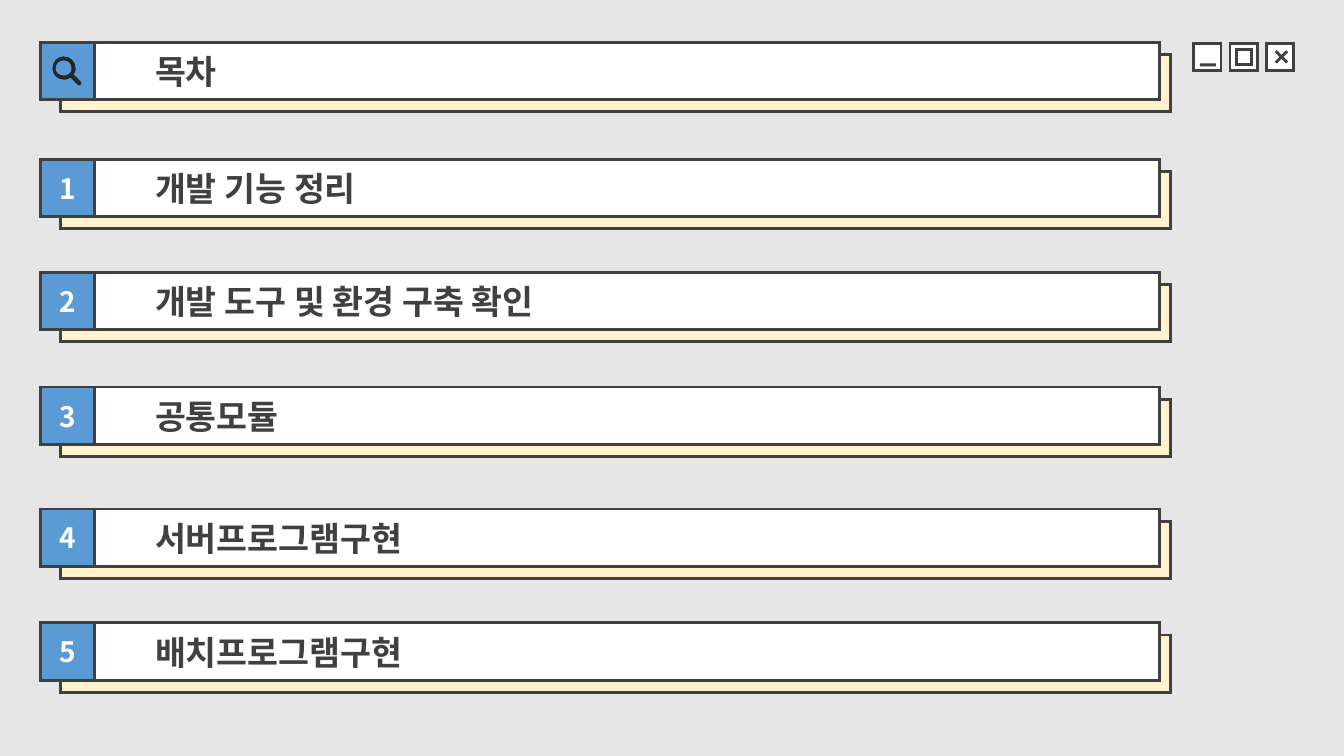
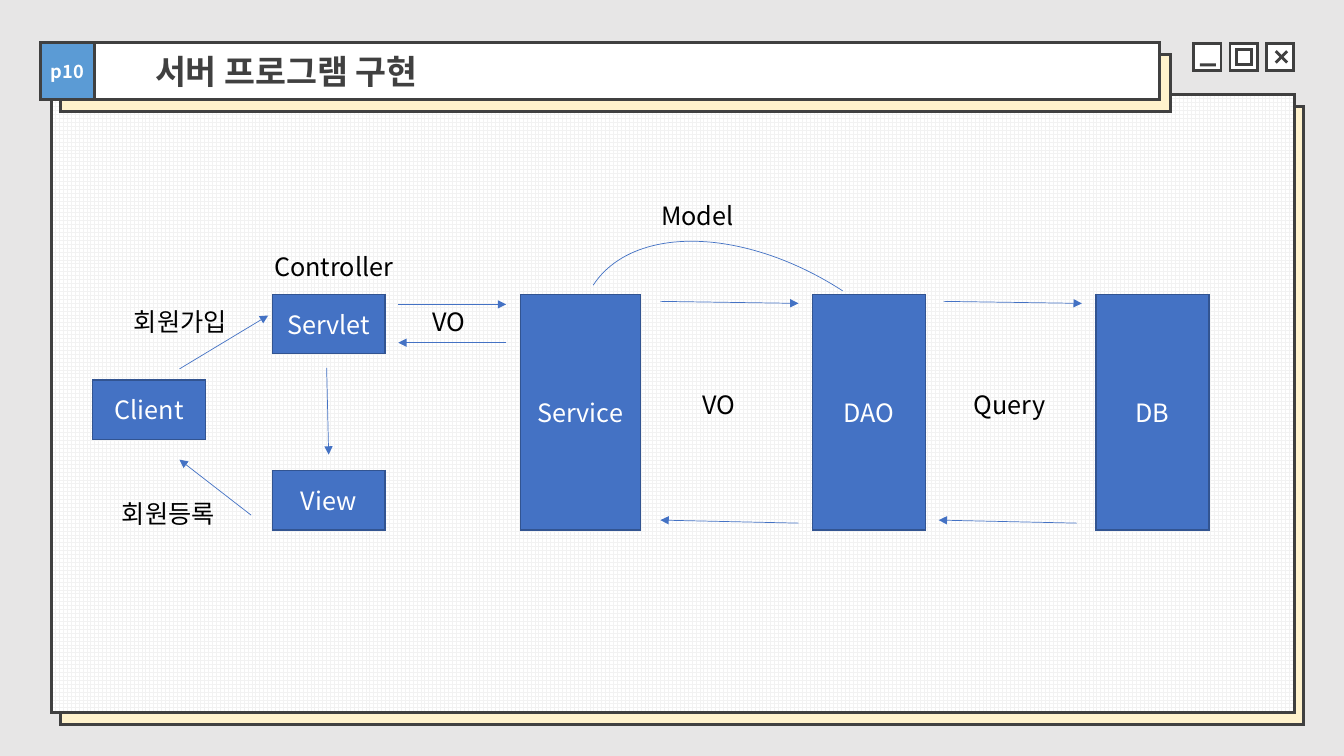
from lxml import etree
from pptx import Presentation
from pptx.dml.color import RGBColor
from pptx.enum.dml import MSO_PATTERN
from pptx.enum.shapes import MSO_CONNECTOR, MSO_SHAPE
from pptx.enum.text import MSO_ANCHOR, MSO_AUTO_SIZE, PP_ALIGN
from pptx.oxml.ns import qn
from pptx.util import Inches, Pt

RECT, ARC = MSO_SHAPE.RECTANGLE, MSO_SHAPE.ARC
STRAIGHT = MSO_CONNECTOR.STRAIGHT
GRID_PATTERN = MSO_PATTERN.LARGE_GRID
MIDDLE = MSO_ANCHOR.MIDDLE
LEFT, CENTER = PP_ALIGN.LEFT, PP_ALIGN.CENTER
FIT_SHAPE = MSO_AUTO_SIZE.SHAPE_TO_FIT_TEXT

FONT = "Noto Sans CJK KR"
BACKGROUND = RGBColor(0xE7, 0xE6, 0xE6)
INK = RGBColor(0x40, 0x40, 0x40)
ICON = RGBColor(0x26, 0x26, 0x26)
CREAM = RGBColor(0xFF, 0xF2, 0xCC)
SKY = RGBColor(0x5B, 0x9B, 0xD5)
WHITE = RGBColor(0xFF, 0xFF, 0xFF)
BLACK = RGBColor(0, 0, 0)
GRID_LINE = RGBColor(0xF2, 0xF2, 0xF2)
NODE = RGBColor(0x44, 0x72, 0xC4)
NODE_EDGE = RGBColor(0x32, 0x54, 0x91)

BAR_TOP, BAR_H = 0.42, 0.57
DROP = 0.12  # how far a cream backing falls below its panel

# Rows and columns of the flow diagram
NODE_W, NODE_H = 1.12, 0.59
FLOW_TOP, FLOW_H = 2.92, 2.34
VIEW_TOP = FLOW_TOP + FLOW_H - NODE_H
SERVLET_X, SERVICE_X, DAO_X, DB_X = 2.7, 5.16, 8.06, 10.87

# Contours of the magnifier: a start, then lines (one point) and curves (three)
LENS = [((0.63, 0.6),),
        ((0.59, 0.6), (0.55, 0.63), (0.55, 0.68)),
        ((0.55, 0.72), (0.59, 0.75), (0.63, 0.75)),
        ((0.68, 0.75), (0.71, 0.72), (0.71, 0.68)),
        ((0.71, 0.63), (0.68, 0.6), (0.63, 0.6))]
RIM = [((0.63, 0.56),),
       ((0.7, 0.56), (0.75, 0.61), (0.75, 0.68)),
       ((0.75, 0.69), (0.75, 0.71), (0.74, 0.72)),
       ((0.73, 0.74),),
       ((0.76, 0.76), (0.78, 0.79), (0.8, 0.81)),
       ((0.81, 0.82), (0.81, 0.84), (0.8, 0.84)),
       ((0.79, 0.85), (0.78, 0.85), (0.77, 0.84)),
       ((0.7, 0.77),),
       ((0.68, 0.78),),
       ((0.67, 0.79), (0.65, 0.79), (0.63, 0.79)),
       ((0.57, 0.79), (0.52, 0.74), (0.52, 0.68)),
       ((0.52, 0.61), (0.57, 0.56), (0.63, 0.56))]


def style_text(tf, text, size, color, bold=False, align=LEFT):
    tf.text = text
    p = tf.paragraphs[0]
    p.alignment = align
    font = p.runs[0].font
    font.name, font.size, font.bold = FONT, Pt(size), bold
    font.color.rgb = color
    rPr = p.runs[0]._r.get_or_add_rPr()
    etree.SubElement(rPr, qn("a:ea"), typeface=FONT)
    return p


def style_title(p):
    """Indent a title, turn kerning off and give it a clear outline."""
    p.level = 1
    p._p.get_or_add_pPr().set("marL", str(Inches(0.5)))
    rPr = p.runs[0]._r.get_or_add_rPr()
    rPr.set("kern", "0")
    ln = etree.Element(qn("a:ln"), w=str(Pt(0.75)))
    fill = etree.SubElement(ln, qn("a:solidFill"))
    color = etree.SubElement(fill, qn("a:srgbClr"), val=str(BLACK))
    etree.SubElement(color, qn("a:alpha"), val="0")
    rPr.insert(0, ln)


def add_box(shapes, x, y, w, h, fill=None, line=INK, width=2, kind=RECT):
    s = shapes.add_shape(kind, Inches(x), Inches(y), Inches(w), Inches(h))
    s.shadow.inherit = False
    if fill is None:
        s.fill.background()
    else:
        s.fill.solid()
        s.fill.fore_color.rgb = fill
    if line is None:
        s.line.fill.background()
    else:
        s.line.color.rgb = line
        s.line.width = Pt(width)
        ln = s._element.spPr.find(qn("a:ln"))
        etree.SubElement(ln, qn("a:miter"), lim="800000")
    s.text_frame.vertical_anchor = MIDDLE
    return s


def add_label(shapes, x, y, w, text):
    s = shapes.add_textbox(Inches(x), Inches(y), Inches(w), Inches(0.4))
    s.text_frame.word_wrap = True
    s.text_frame.auto_size = FIT_SHAPE
    style_text(s.text_frame, text, 18, BLACK)


def add_node(shapes, x, y, w, h, text):
    s = add_box(shapes, x, y, w, h, NODE, NODE_EDGE, 1)
    style_text(s.text_frame, text, 18, WHITE, align=CENTER)


def add_arrow(shapes, x1, y1, x2, y2):
    c = shapes.add_connector(STRAIGHT, Inches(x1), Inches(y1), Inches(x2), Inches(y2))
    c.line.color.rgb = NODE
    c.line.width = Pt(0.5)
    spPr = c._element.spPr
    etree.SubElement(spPr.find(qn("a:ln")), qn("a:tailEnd"), type="triangle")
    etree.SubElement(spPr, qn("a:effectLst"))


def add_search_icon(shapes):
    def emu(segments):
        return [(Inches(x), Inches(y)) for segment in segments for x, y in segment]

    lens, rim = emu(LENS), emu(RIM)
    builder = shapes.build_freeform(*lens[0], scale=1.0)
    builder.add_line_segments(lens[1:], close=True)
    builder.move_to(*rim[0])
    builder.add_line_segments(rim[1:], close=True)
    s = builder.convert_to_shape()
    s.shadow.inherit = False
    s.fill.solid()
    s.fill.fore_color.rgb = ICON
    s.line.fill.background()

    # Merge each run of three control points into one curve
    lines = iter(list(s._element.iter(qn("a:lnTo"))))
    for segment in LENS[1:] + RIM[1:]:
        first, *rest = [next(lines) for _ in segment]
        if rest:
            curve = etree.Element(qn("a:cubicBezTo"))
            first.addprevious(curve)
            for line in (first, *rest):
                curve.append(line[0])
                line.getparent().remove(line)


def add_bar(slide, top, title, badge="", badge_size=20):
    """White title bar with a blue badge and a cream backing."""
    shapes = slide.shapes.add_group_shape().shapes
    add_box(shapes, 0.6, top + DROP, 11.01, BAR_H, CREAM)
    tag = add_box(shapes, 0.4, top, 0.54, BAR_H, SKY)
    if badge:
        tag.text_frame.word_wrap = False
        style_text(tag.text_frame, badge, badge_size, WHITE, True, CENTER)
    bar = add_box(shapes, 0.94, top, 10.56, BAR_H, WHITE)
    style_title(style_text(bar.text_frame, title, 24, INK, True))
    return shapes


def add_window_buttons(slide):
    shapes = slide.shapes.add_group_shape().shapes
    for i in range(3):
        add_box(shapes, 11.84 + 0.36 * i, 0.43, 0.27, 0.27, WHITE)
    add_box(shapes, 12.26, 0.49, 0.15, 0.15, WHITE)
    for x, y, angle in ((11.9, 0.63, 0), (12.63, 0.55, 45), (12.63, 0.55, 315)):
        add_box(shapes, x, y, 0.16, 0.03, INK, None).rotation = angle


def add_window_panel(slide):
    shapes = slide.shapes.add_group_shape().shapes
    add_box(shapes, 0.6, 0.94 + DROP, 12.33, 6.13, CREAM)
    fill = add_box(shapes, 0.51, 0.94, 12.33, 6.13, WHITE).fill
    fill.patterned()
    fill.pattern = GRID_PATTERN
    fill.fore_color.rgb = GRID_LINE
    fill.back_color.rgb = WHITE


def add_flow(slide):
    shapes = slide.shapes.add_group_shape().shapes
    for x, y, text in ((SERVLET_X, FLOW_TOP, "Servlet"), (0.92, 3.77, "Client"),
                       (SERVLET_X, VIEW_TOP, "View")):
        add_node(shapes, x, y, NODE_W, NODE_H, text)
    for x, w, text in ((SERVICE_X, 1.19, "Service"), (DAO_X, NODE_W, "DAO"),
                       (DB_X, NODE_W, "DB")):
        add_node(shapes, x, FLOW_TOP, w, FLOW_H, text)

    for ends in ((1.78, 3.66, 2.66, 3.13), (2.49, 5.11, 1.78, 4.56),
                 (3.95, 3.02, 5.02, 3.02), (3.24, 3.65, 3.26, 4.51),
                 (5.02, 3.4, 3.95, 3.4)):
        add_arrow(shapes, *ends)
    for x in (6.55, 9.36):
        add_arrow(shapes, x, 2.99, x + 1.37, 3.01)
    for x in (6.55, 9.31):
        add_arrow(shapes, x + 1.37, 5.19, x, 5.16)

    for x, y, w, text in ((2.62, 2.44, 1.4, "Controller"), (1.23, 2.99, 1.39, "회원가입"),
                          (1.11, 4.89, 1.39, "회원등록"), (4.19, 2.99, 0.59, "VO"),
                          (6.87, 3.81, 0.59, "VO"), (6.46, 1.94, 1.39, "Model"),
                          (9.56, 3.81, 0.98, "Query")):
        add_label(shapes, x, y, w, text)
    add_box(shapes, 6.35, 1.87, 2.6, 4.21, None, NODE, 0.5, ARC).rotation = 303


def add_slide(prs):
    slide = prs.slides.add_slide(prs.slide_layouts[6])
    fill = slide.background.fill
    fill.solid()
    fill.fore_color.rgb = BACKGROUND
    return slide


def build_contents(prs):
    slide = add_slide(prs)
    add_window_buttons(slide)
    add_search_icon(add_bar(slide, BAR_TOP, "목차"))
    chapters = ((1.58, "개발 기능 정리"), (2.7, "개발 도구 및 환경 구축 확인"),
                (3.84, "공통모듈"), (5.05, "서버프로그램구현"), (6.18, "배치프로그램구현"))
    for number, (top, title) in enumerate(chapters, 1):
        add_bar(slide, top, title, str(number))


def build_server_flow(prs):
    slide = add_slide(prs)
    add_window_panel(slide)
    add_bar(slide, BAR_TOP, "서버 프로그램 구현", "p10", 13)
    add_window_buttons(slide)
    add_flow(slide)


def main():
    prs = Presentation()
    prs.slide_width, prs.slide_height = Inches(13.33), Inches(7.5)
    build_contents(prs)
    build_server_flow(prs)
    prs.save("out.pptx")


if __name__ == "__main__":
    main()
